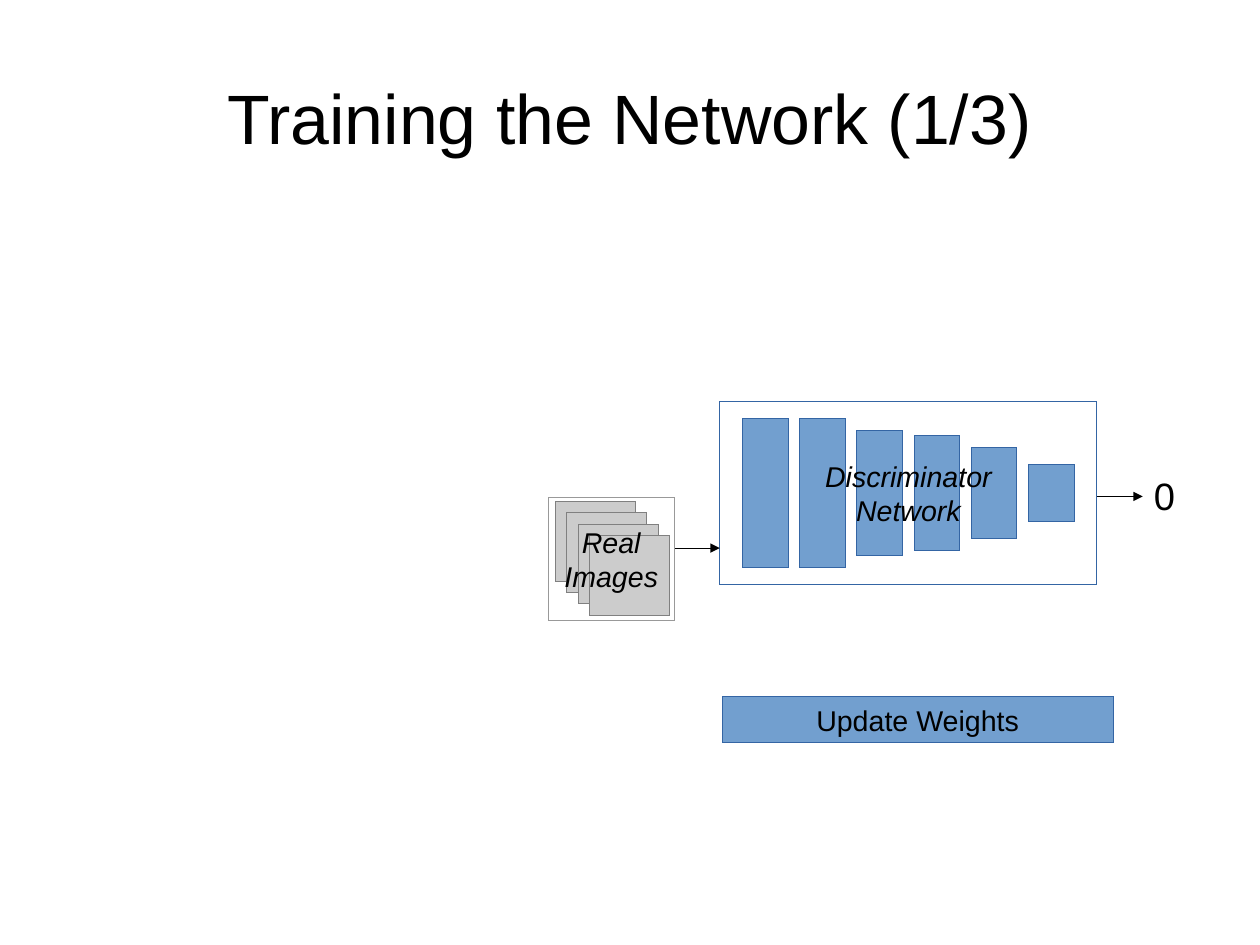
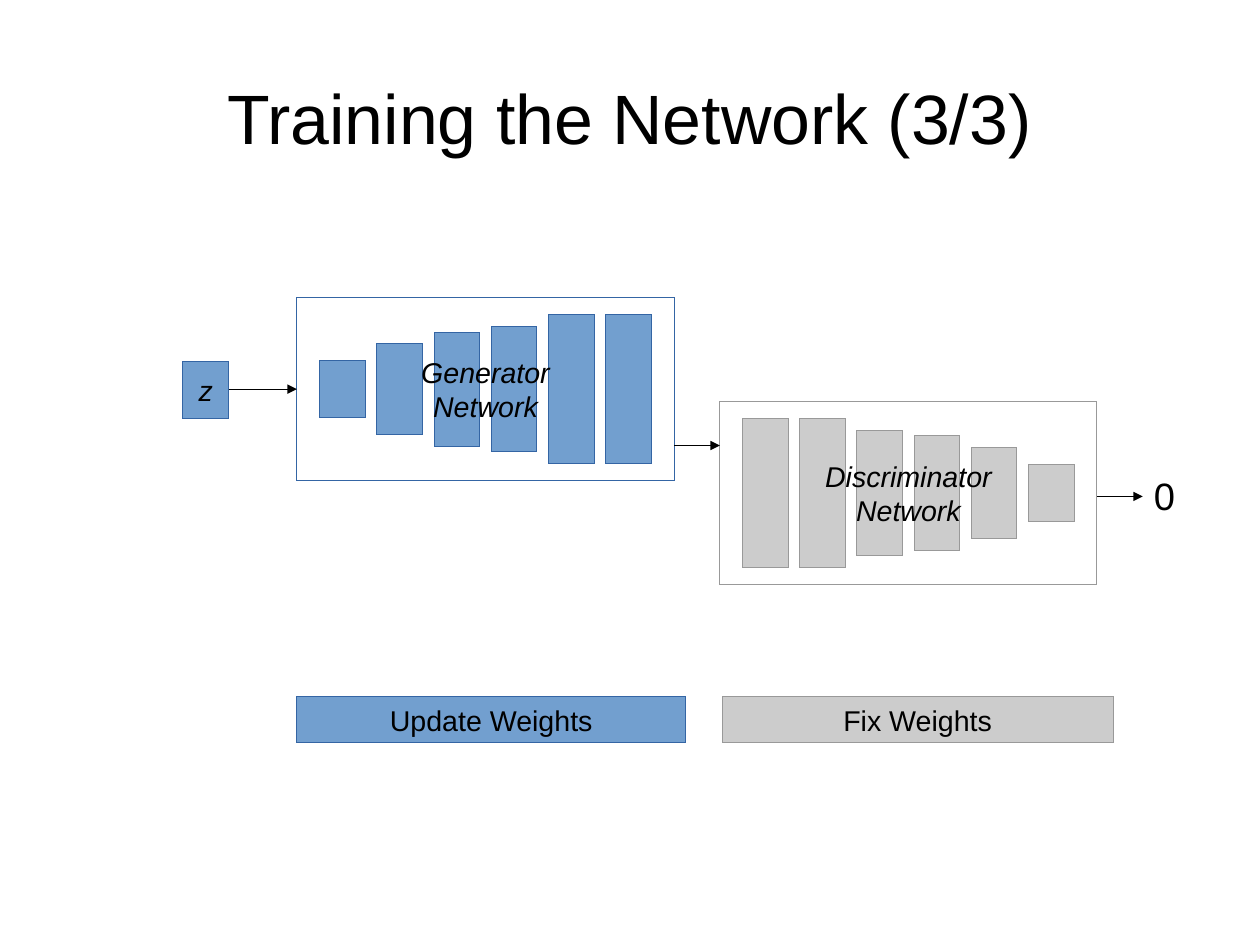
from dataclasses import dataclass

from lxml import etree
from pptx import Presentation
from pptx import util as u
from pptx.dml.color import RGBColor
from pptx.enum import shapes, text
from pptx.oxml import ns


@dataclass(frozen=True)
class Tone:
    """Fill and outline colours of one group of parts."""
    fill: str
    line: str


@dataclass(frozen=True)
class Theme:
    """Colours, font and type sizes shared by the slides."""
    ink: str = "000000"
    paper: str = "FFFFFF"
    font: str = "Arial"
    title: int = 44
    output: int = 24
    label: int = 18
    active: Tone = Tone("729FCF", "3465A4")
    fixed: Tone = Tone("CCCCCC", "999999")
    image: Tone = Tone("CCCCCC", "808080")


@dataclass(frozen=True)
class Box:
    """A region measured in grid cells."""
    left: float
    top: float
    width: float
    height: float

    def inside(self, left, top, width, height):
        """Return a box placed relative to this one."""
        return Box(self.left + left, self.top + top, width, height)

    def emu(self):
        """Return the box as slide lengths."""
        return [cells(v) for v in (self.left, self.top, self.width, self.height)]


THEME = Theme()
CELL = 0.1
SLIDE = {"slide_width": u.Cm(28), "slide_height": u.Cm(21)}
TITLE = Box(5.5, 3.3, 99.2, 13.8)
GENERATOR = Box(25.98, 26.05, 33, 16)
DISCRIMINATOR = Box(62.98, 35.14, 33, 16)
NOISE = Box(16, 31.6, 4, 5)
REAL_IMAGES = Box(47.98, 43.55, 11, 10.7)
GENERATOR_BAND = Box(25.98, 60.98, 34, 4)
DISCRIMINATOR_BAND = Box(63.18, 60.98, 34.2, 4)
LAYER_HEIGHTS = (5, 8, 10, 11, 13, 13)
LAYER_WIDTH, LAYER_STEP, LAYER_INSET = 4, 5, 2


def cells(count):
    """Convert grid cells to a slide length."""
    return u.Inches(count * CELL)


def assign(target, **values):
    """Set several attributes on one object."""
    for name, value in values.items():
        setattr(target, name, value)


def write(shape, lines, size, align=text.PP_ALIGN.CENTER, italic=False,
          wrap=False, anchor=text.MSO_ANCHOR.MIDDLE, margins=(1, 0.5)):
    """Write one paragraph for each line of text."""
    frame = shape.text_frame
    across, down = map(cells, margins)
    assign(frame, text="\n".join(lines), word_wrap=wrap, vertical_anchor=anchor,
           margin_left=across, margin_right=across, margin_top=down, margin_bottom=down)
    for paragraph in frame.paragraphs:
        paragraph.alignment = align
        for run in paragraph.runs:
            assign(run.font, name=THEME.font, size=u.Pt(size), italic=italic)
            run.font.color.rgb = RGBColor.from_string(THEME.ink)


def draw_hairline(shape, color):
    """Give a shape a zero-width line and return its element."""
    shape.line.color.rgb = RGBColor.from_string(color)
    outline = shape.line._get_or_add_ln()
    outline.set("w", "0")
    return outline


def add_block(slide, box, tone, lines=(), filled=True, italic=False):
    """Add an outlined rectangle with optional fill and label."""
    shape = slide.shapes.add_shape(shapes.MSO_SHAPE.RECTANGLE, *box.emu())
    shape.shadow.inherit = False
    if filled:
        shape.fill.solid()
        shape.fill.fore_color.rgb = RGBColor.from_string(tone.fill)
    else:
        shape.fill.background()
    draw_hairline(shape, tone.line)
    if lines:
        write(shape, lines, THEME.label, italic=italic)


def add_arrow(slide, start, end, row):
    """Add a level hairline arrow between two columns."""
    arrow = slide.shapes.add_connector(
        shapes.MSO_CONNECTOR.STRAIGHT, *map(cells, (start, row, end, row)))
    outline = draw_hairline(arrow, THEME.ink)
    etree.SubElement(outline, ns.qn("a:tailEnd"), type="triangle")
    etree.SubElement(arrow._element.spPr, ns.qn("a:effectLst"))


def add_text(slide, box, words, size, **layout):
    """Add a wrapping text box."""
    shape = slide.shapes.add_textbox(*box.emu())
    write(shape, [words], size, wrap=True, **layout)


def add_network(slide, box, name, tone, heights):
    """Draw a framed row of layers centred on one axis."""
    for index, height in enumerate(heights):
        layer = box.inside(LAYER_INSET + index * LAYER_STEP,
                           (box.height - height) / 2, LAYER_WIDTH, height)
        add_block(slide, layer, tone)
    add_block(slide, box, tone, (name, "Network"), filled=False, italic=True)


def add_generator(slide, box, tone):
    """Draw the noise input and the generator."""
    add_block(slide, NOISE, tone, ["z"], italic=True)
    add_network(slide, box, "Generator", tone, LAYER_HEIGHTS)
    add_arrow(slide, NOISE.left + NOISE.width, box.left, box.top + box.height / 2)


def add_discriminator(slide, box, tone, input_row):
    """Draw the discriminator with its input arrow and output."""
    add_network(slide, box, "Discriminator", tone, LAYER_HEIGHTS[::-1])
    add_arrow(slide, box.left - 4, box.left, input_row)
    right = box.left + box.width
    add_arrow(slide, right, right + 4, box.top + 8.3)
    add_text(slide, box.inside(box.width + 4, 5.7, 3, 4.7), "0", THEME.output,
             align=text.PP_ALIGN.LEFT, anchor=text.MSO_ANCHOR.TOP)


def add_real_images(slide, box):
    """Draw a framed stack of sample images."""
    for step in range(4):
        add_block(slide, box.inside(0.6 + step, 0.3 + step, 7, 7), THEME.image)
    add_block(slide, box, THEME.fixed, ("Real", "Images"), filled=False, italic=True)


def add_training_slide(presentation, part):
    """Add a blank slide with the shared background and title."""
    slide = presentation.slides.add_slide(presentation.slide_layouts[6])
    slide.background.fill.solid()
    slide.background.fill.fore_color.rgb = RGBColor.from_string(THEME.paper)
    add_text(slide, TITLE, f"Training the Network ({part}/3)", THEME.title, margins=(0, 0))
    return slide


def add_real_step(presentation):
    """Build the step that trains the discriminator on real images."""
    slide = add_training_slide(presentation, 1)
    add_discriminator(slide, DISCRIMINATOR, THEME.active, 47.95)
    add_real_images(slide, REAL_IMAGES)
    add_block(slide, DISCRIMINATOR_BAND, THEME.active, ["Update Weights"])


def add_generator_step(presentation):
    """Build the step that trains the generator."""
    slide = add_training_slide(presentation, 3)
    add_generator(slide, GENERATOR, THEME.active)
    add_discriminator(slide, DISCRIMINATOR, THEME.fixed, 38.98)
    add_block(slide, GENERATOR_BAND, THEME.active, ["Update Weights"])
    add_block(slide, DISCRIMINATOR_BAND, THEME.fixed, ["Fix Weights"])


def main():
    """Build and save the presentation."""
    presentation = Presentation()
    assign(presentation, **SLIDE)
    add_real_step(presentation)
    add_generator_step(presentation)
    presentation.save("out.pptx")


if __name__ == "__main__":
    main()
